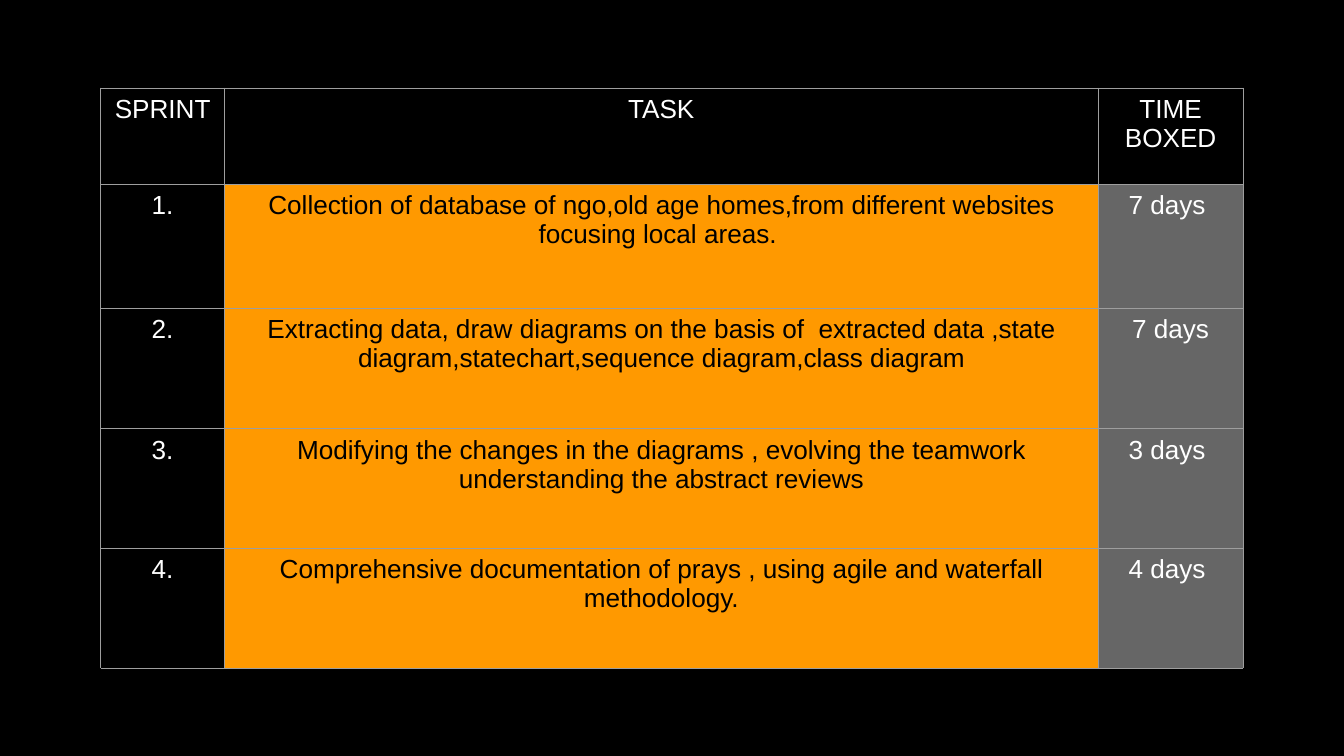
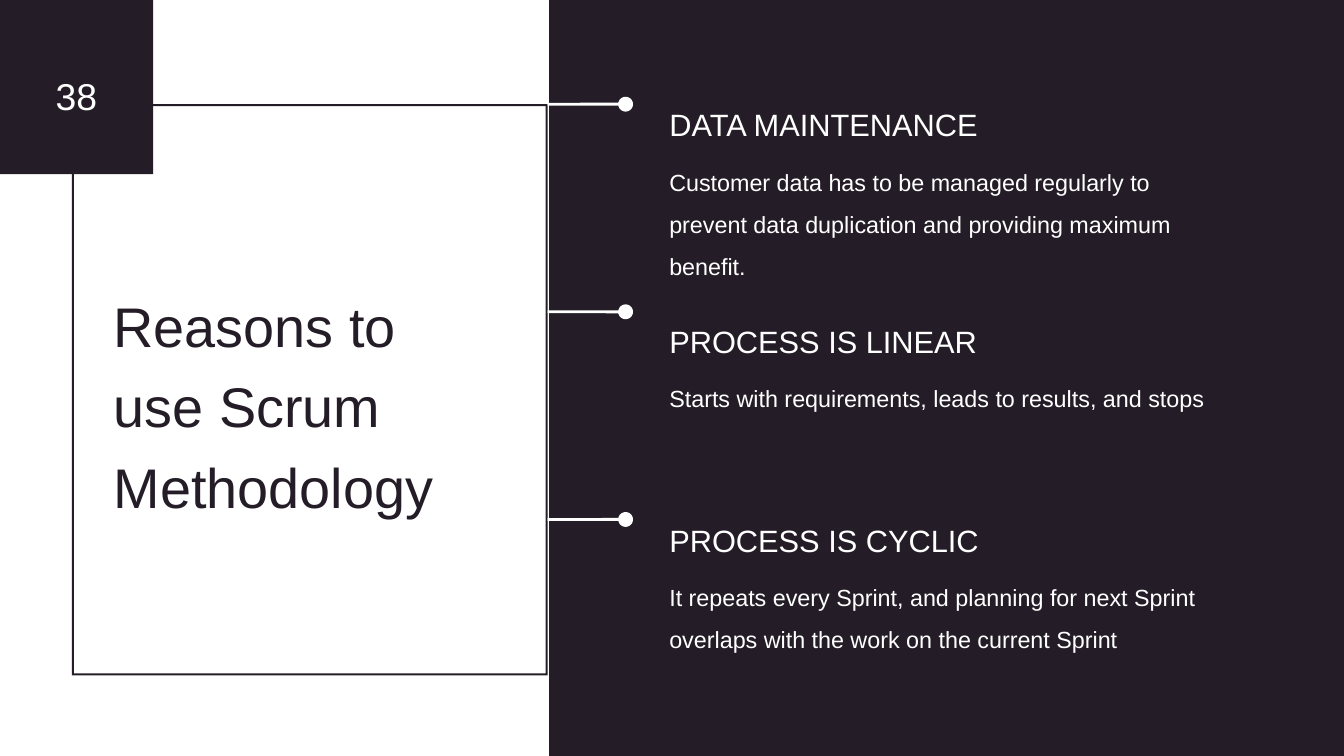
from math import cos, pi, sin
from lxml.etree import SubElement
from pptx import Presentation
from pptx.dml.color import RGBColor as RGB
from pptx.enum.shapes import MSO_SHAPE as SHAPE
from pptx.enum.text import MSO_AUTO_SIZE as FIT, PP_ALIGN as ALIGN
from pptx.oxml.ns import qn
from pptx.util import Inches, Pt

BLACK = RGB(0x00, 0x00, 0x00)
WHITE = RGB(0xFF, 0xFF, 0xFF)
ORANGE = RGB(0xFF, 0x99, 0x00)
GRAY = RGB(0x66, 0x66, 0x66)
RULE = RGB(0x9E, 0x9E, 0x9E)
PLUM = RGB(0x24, 0x1D, 0x27)

FONT = "Arial"
CELL = {"name": FONT, "size": Pt(28)}
NUMBER = {"name": FONT, "size": Pt(40)}
TITLE = {"name": FONT, "size": Pt(59.85)}
HEADING = {"name": FONT, "size": Pt(33)}
BODY = {"name": FONT, "size": Pt(25)}
FRAME_FORMAT = {"word_wrap": True, "auto_size": FIT.SHAPE_TO_FIT_TEXT,
                "margin_left": 0, "margin_right": 0, "margin_top": 0, "margin_bottom": 0}
CELL_FORMAT = {f"margin_{side}": Inches(0.1) for side in ("left", "right", "top", "bottom")}

prs = Presentation()
prs.slide_width, prs.slide_height = Inches(20), Inches(11.25)
COLS, ROWS = 20, 11.25
UNIT = prs.slide_width // COLS
blank = prs.slide_layouts[6]


def add_text(shapes, box, lines, fmt, color, spacing, align=ALIGN.LEFT):
    tf = shapes.add_textbox(*[int(v * UNIT) for v in box]).text_frame
    for key, value in FRAME_FORMAT.items():
        setattr(tf, key, value)
    for i, line in enumerate(lines):
        p = tf.add_paragraph() if i else tf.paragraphs[0]
        p.alignment, p.line_spacing = align, spacing
        r = p.add_run()
        r.text = line
        for key, value in fmt.items():
            setattr(r.font, key, value)
        r.font.color.rgb = color


def add_outline(shapes, contours, color):
    contours = [[(int(x * UNIT), int(y * UNIT)) for x, y in contour] for contour in contours]
    fb = shapes.build_freeform(*contours[0][0])
    for i, contour in enumerate(contours):
        if i:
            fb.move_to(*contour[0])
        fb.add_line_segments(contour[1:], close=True)
    sp = fb.convert_to_shape()
    sp.shadow.inherit = False
    sp.fill.solid()
    sp.fill.fore_color.rgb = color
    sp.line.fill.background()


s = prs.slides.add_slide(blank)
s.background.fill.solid()
s.background.fill.fore_color.rgb = BLACK

plan = [
    ("SPRINT", "TASK", "TIME BOXED"),
    ("1.", "Collection of database of ngo,old age homes,from different websites focusing local areas. ", "7 days "),
    ("2.", "Extracting data, draw diagrams on the basis of  extracted data ,state diagram,statechart,sequence diagram,class diagram", "7 days"),
    ("3.", "Modifying the changes in the diagrams , evolving the teamwork understanding the abstract reviews", "3 days "),
    ("4.", "Comprehensive documentation of prays , using agile and waterfall methodology.", "4 days "),
]
widths = (1.84, 13, 2.16)
heights = (1.43, 1.85, 1.79, 1.78, 1.78)
header_look = [(BLACK, WHITE)] * 3
task_look = [(BLACK, WHITE), (ORANGE, BLACK), (GRAY, WHITE)]

table = s.shapes.add_table(len(plan), len(widths), int(1.5 * UNIT), int(1.31 * UNIT),
                           int(sum(widths) * UNIT), int(sum(heights) * UNIT)).table
for column, width in zip(table.columns, widths):
    column.width = int(width * UNIT)
for row, height in zip(table.rows, heights):
    row.height = int(height * UNIT)
for i, texts in enumerate(plan):
    for j, (text, (fill, ink)) in enumerate(zip(texts, task_look if i else header_look)):
        cell = table.cell(i, j)
        for key, value in CELL_FORMAT.items():
            setattr(cell, key, value)
        cell.fill.solid()
        cell.fill.fore_color.rgb = fill
        p = cell.text_frame.paragraphs[0]
        p.alignment = ALIGN.CENTER
        r = p.add_run()
        r.text = text
        for key, value in CELL.items():
            setattr(r.font, key, value)
        r.font.color.rgb = ink
        tcPr = cell._tc.get_or_add_tcPr()
        for k, edge in enumerate(("a:lnL", "a:lnR", "a:lnT", "a:lnB")):
            ln = SubElement(tcPr, qn(edge), w=str(Pt(0.75)))
            SubElement(SubElement(ln, qn("a:solidFill")), qn("a:srgbClr"), val=str(RULE))
            tcPr.insert(k, ln)

s = prs.slides.add_slide(blank)
s.background.fill.solid()
s.background.fill.fore_color.rgb = WHITE

left, top, right, bottom, edge = 1.07, 1.55, 8.15, 10.05, 0.03
outer = [(left, top), (left, bottom), (right, bottom), (right, top)]
inner = [(right - edge, bottom - edge), (left + edge, bottom - edge),
         (left + edge, top + edge), (right - edge, top + edge)]
add_outline(s.shapes, [outer, inner], PLUM)

split = 8.17
blocks = [(0, 0, 2.28, 2.59), (split, 0, COLS - split, ROWS)]
for block in blocks:
    sp = s.shapes.add_shape(SHAPE.RECTANGLE, *[int(v * UNIT) for v in block])
    sp.shadow.inherit = False
    sp.fill.solid()
    sp.fill.fore_color.rgb = PLUM
    sp.line.fill.background()

add_text(s.shapes, (0.59, 0.96, 1.09, 0.67), ["38"], NUMBER, WHITE, 1.2, ALIGN.CENTER)
add_text(s.shapes, (1.69, 4.14, 6.9, 3.03), ["Reasons to", "use Scrum", "Methodology"],
         TITLE, PLUM, 1.2)

reasons = [
    (1.36, 8.23, 1.6, "DATA MAINTENANCE",
     "Customer data has to be managed regularly to prevent data duplication and providing maximum benefit."),
    (4.58, 8.92, 0.53, "PROCESS IS LINEAR", "Starts with requirements, leads to results, and stops"),
    (7.54, 8.92, 1.07, "PROCESS IS CYCLIC",
     "It repeats every Sprint, and planning for next Sprint overlaps with the work on the current Sprint"),
]
for y, width, height, heading, body in reasons:
    group = s.shapes.add_group_shape()
    add_text(group.shapes, (9.96, y, width, 0.65), [heading], HEADING, WHITE, 1.4)
    add_text(group.shapes, (9.96, y + 0.93, width, height), [body], BODY, WHITE, 1.5)

pin_x, radius, stem, steps = 9.31, 0.11, 0.02, 32
for i in range(len(reasons)):
    y = top + i * 3.09
    angles = [pi - 0.2 - k * (2 * pi - 0.4) / steps for k in range(steps + 1)]
    head = [(pin_x + radius * cos(a), y + radius * sin(a)) for a in angles]
    add_outline(s.shapes, [[(right, y - stem), (right, y + stem)] + head], WHITE)

prs.save("out.pptx")
